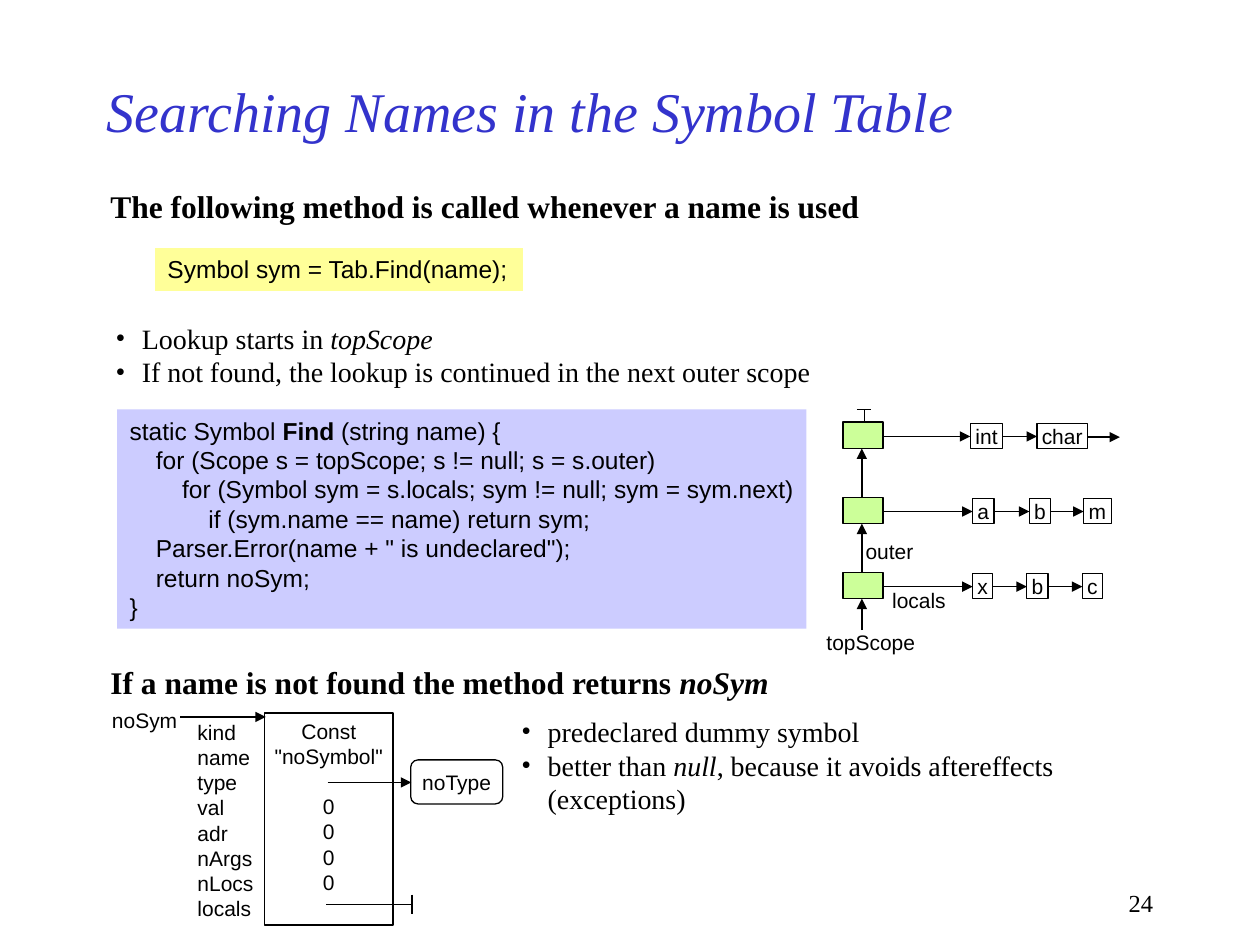
import pptx
import pptx.dml.color
import pptx.enum.shapes
import pptx.enum.text
import pptx.oxml.ns
import pptx.util
from lxml import etree

Pt = pptx.util.Pt
RGB = pptx.dml.color.RGBColor
SHAPES = pptx.enum.shapes.MSO_SHAPE
ALIGN = pptx.enum.text.PP_ALIGN
ANCHOR = pptx.enum.text.MSO_ANCHOR
qn = pptx.oxml.ns.qn

BLACK = RGB(0, 0, 0)
TITLE_BLUE = RGB(0x33, 0x33, 0xCC)
CALL_YELLOW = RGB(0xFF, 0xFF, 0x99)
CODE_LILAC = RGB(0xCC, 0xCC, 0xFF)
SCOPE_GREEN = RGB(0xCC, 0xFF, 0x99)
SERIF, SANS = "Times New Roman", "Arial"
INDENT = 15

CODE = [
    [("static Symbol ", ""), ("Find", "b"), (" (string name) {", "")],
    "\tfor (Scope s = topScope; s != null; s = s.outer)",
    "\t\tfor (Symbol sym = s.locals; sym != null; sym = sym.next)",
    "\t\t\tif (sym.name == name) return sym;",
    '\tParser.Error(name + " is undeclared");',
    "\treturn noSym;",
    "}",
]
SCOPES = [
    [("int", 554.4, 18.7), ("char", 592.6, 28.8)],
    [("a", 555.8, 12.2), ("b", 588.2, 12.2), ("m", 619.2, 15.8)],
    [("x", 555.8, 11.5), ("b", 586.8, 12.2), ("c", 618.5, 11.5)],
]
SCOPE_LEFT, SCOPE_TOP, SCOPE_PITCH = 481.7, 241.2, 42.9
SCOPE_WIDTH, SCOPE_HEIGHT = 23, 15.1


def write(shape, lines, size, font, color=BLACK, style="", align=ALIGN.LEFT,
          insets=(7.2, 3.6), anchor=ANCHOR.TOP, bullets=False, tabs=0):
    """Fill a shape with paragraphs, each a string or a list of (text, style) runs."""
    frame = shape.text_frame
    frame.word_wrap = False
    frame.vertical_anchor = anchor
    frame.margin_left = frame.margin_right = Pt(insets[0])
    frame.margin_top = frame.margin_bottom = Pt(insets[1])
    for number, line in enumerate(lines):
        paragraph = frame.paragraphs[0] if number == 0 else frame.add_paragraph()
        paragraph.alignment = align
        properties = paragraph._p.get_or_add_pPr()
        if bullets:
            properties.set("marL", str(Pt(INDENT)))
            properties.set("indent", str(-Pt(INDENT)))
            etree.SubElement(properties, qn("a:buFont")).set("typeface", font)
            etree.SubElement(properties, qn("a:buChar")).set("char", "•")
        if tabs:
            stops = etree.SubElement(properties, qn("a:tabLst"))
            for step in range(1, tabs + 1):
                stop = etree.SubElement(stops, qn("a:tab"))
                stop.set("pos", str(Pt(INDENT * step)))
                stop.set("algn", "l")
        for text, emphasis in [(line, "")] if isinstance(line, str) else line:
            if text == "\n":
                paragraph.add_line_break()
                continue
            run = paragraph.add_run()
            run.text = text
            run.font.name, run.font.size = font, Pt(size)
            run.font.color.rgb = color
            run.font.bold = "b" in style + emphasis
            run.font.italic = "i" in style + emphasis


def add_text(slide, left, top, width, height, lines, size, font, **options):
    """Add a text box."""
    box = slide.shapes.add_textbox(Pt(left), Pt(top), Pt(width), Pt(height))
    write(box, lines, size, font, **options)


def add_box(slide, left, top, width, height, fill=None, outlined=True, kind=SHAPES.RECTANGLE):
    """Add a filled or hollow box and return it."""
    box = slide.shapes.add_shape(kind, Pt(left), Pt(top), Pt(width), Pt(height))
    box.shadow.inherit = False
    if fill is None:
        box.fill.background()
    else:
        box.fill.solid()
        box.fill.fore_color.rgb = fill
    if outlined:
        box.line.color.rgb = BLACK
        box.line.width = Pt(0.75)
    else:
        box.line.fill.background()
    return box


def add_line(slide, x1, y1, x2, y2, arrow=True):
    """Add a thin black line, with an arrowhead at its end unless told otherwise."""
    line = slide.shapes.add_connector(
        pptx.enum.shapes.MSO_CONNECTOR.STRAIGHT, Pt(x1), Pt(y1), Pt(x2), Pt(y2))
    line.line.color.rgb = BLACK
    line.line.width = Pt(0.75)
    if arrow:
        etree.SubElement(line.line._get_or_add_ln(), qn("a:tailEnd")).set("type", "triangle")
    etree.SubElement(line._element.spPr, qn("a:effectLst"))


def add_scope_chain(slide):
    """Draw the linked scopes, each with its list of local symbols."""
    link_x = SCOPE_LEFT + 10.8
    for level, symbols in enumerate(SCOPES):
        top = SCOPE_TOP + level * SCOPE_PITCH
        middle = top + 8.2
        add_box(slide, SCOPE_LEFT, top, SCOPE_WIDTH, SCOPE_HEIGHT, SCOPE_GREEN)
        bottom = top + SCOPE_HEIGHT
        below = top + SCOPE_PITCH if level < len(SCOPES) - 1 else 360
        add_line(slide, link_x, below, link_x, bottom)
        start = SCOPE_LEFT + SCOPE_WIDTH
        for name, left, width in symbols:
            add_line(slide, start, middle, left, middle)
            symbol = add_box(slide, left, top + 0.7, width, 14.4)
            write(symbol, [name], 12, SANS, align=ALIGN.CENTER, insets=(2.9, 0))
            start = left + width
    add_line(slide, 622, SCOPE_TOP + 8.6, 640, SCOPE_TOP + 8.6)
    add_line(slide, 493.9, SCOPE_TOP, 493.9, 234.5, arrow=False)
    add_line(slide, 489.6, 234, 497.5, 234, arrow=False)
    for label, left, top, width in [("outer", 494.6, 307.8, 29), ("locals", 509.8, 335.8, 33),
                                    ("topScope", 472.3, 359.6, 53)]:
        add_text(slide, left, top, width, 14.4, [label], 12, SANS, insets=(0, 0))


def add_dummy_symbol(slide):
    """Draw the noSym record with its fields, values and type."""
    fields = ["kind", "name", "type", "val", "adr", "nArgs", "nLocs", "locals"]
    add_text(slide, 105.8, 407.5, 52, 122.4, fields, 12, SANS)
    record = add_box(slide, 151.2, 407.5, 73.4, 121)
    write(record, ["Const", '"noSymbol"', "0", "0", "0", "0"], 12, SANS,
          align=ALIGN.CENTER, insets=(5.8, 2.9))
    record.text_frame.paragraphs[2].space_before = Pt(14.4)
    add_text(slide, 56.9, 401, 54, 21.6, ["noSym"], 12, SANS)
    add_line(slide, 103, 409.7, 151.9, 409.7)
    add_line(slide, 187.2, 447.1, 235, 447.1)
    add_line(slide, 186.5, 517, 235, 517, arrow=False)
    add_line(slide, 235.4, 511.2, 235.4, 522, arrow=False)
    type_node = add_box(slide, 234.7, 434.2, 52.6, 25.2, kind=SHAPES.ROUNDED_RECTANGLE)
    write(type_node, ["noType"], 12, SANS, align=ALIGN.CENTER, anchor=ANCHOR.MIDDLE)


def main():
    """Build the slide and save it."""
    deck = pptx.Presentation()
    deck.slide_width, deck.slide_height = Pt(720), Pt(540)
    slide = deck.slides.add_slide(deck.slide_layouts[6])
    add_text(slide, 54, 36, 540, 54, ["Searching Names in the Symbol Table"], 32, SERIF,
             color=TITLE_BLUE, style="i", anchor=ANCHOR.MIDDLE)
    add_text(slide, 56, 103.4, 448, 28.8,
             ["The following method is called whenever a name is used"], 18, SERIF, style="b")
    call = add_box(slide, 88.6, 141.8, 210.2, 24.5, CALL_YELLOW, outlined=False)
    write(call, ["Symbol sym = Tab.Find(name);"], 14, SANS)
    add_text(slide, 59, 180, 420, 46,
             [[("Lookup starts in ", ""), ("topScope", "i")],
              "If not found, the lookup is continued in the next outer scope"],
             16, SERIF, bullets=True)
    method = add_box(slide, 67, 234, 393.8, 125.3, CODE_LILAC, outlined=False)
    write(method, CODE, 14, SANS, tabs=3)
    add_scope_chain(slide)
    add_text(slide, 56, 375.4, 396, 28.8,
             [[("If a name is not found the method returns ", ""), ("noSym", "i")]],
             18, SERIF, style="b")
    add_dummy_symbol(slide)
    add_text(slide, 290.9, 404.8, 328, 64.8,
             ["predeclared dummy symbol",
              [("better than ", ""), ("null", "i"),
               (", because it avoids aftereffects", ""), ("\n", ""), ("(exceptions)", "")]],
             16, SERIF, bullets=True)
    add_text(slide, 516.2, 504, 149.8, 23.8, ["24"], 14, SERIF, align=ALIGN.RIGHT)
    deck.save("out.pptx")


if __name__ == "__main__":
    main()
